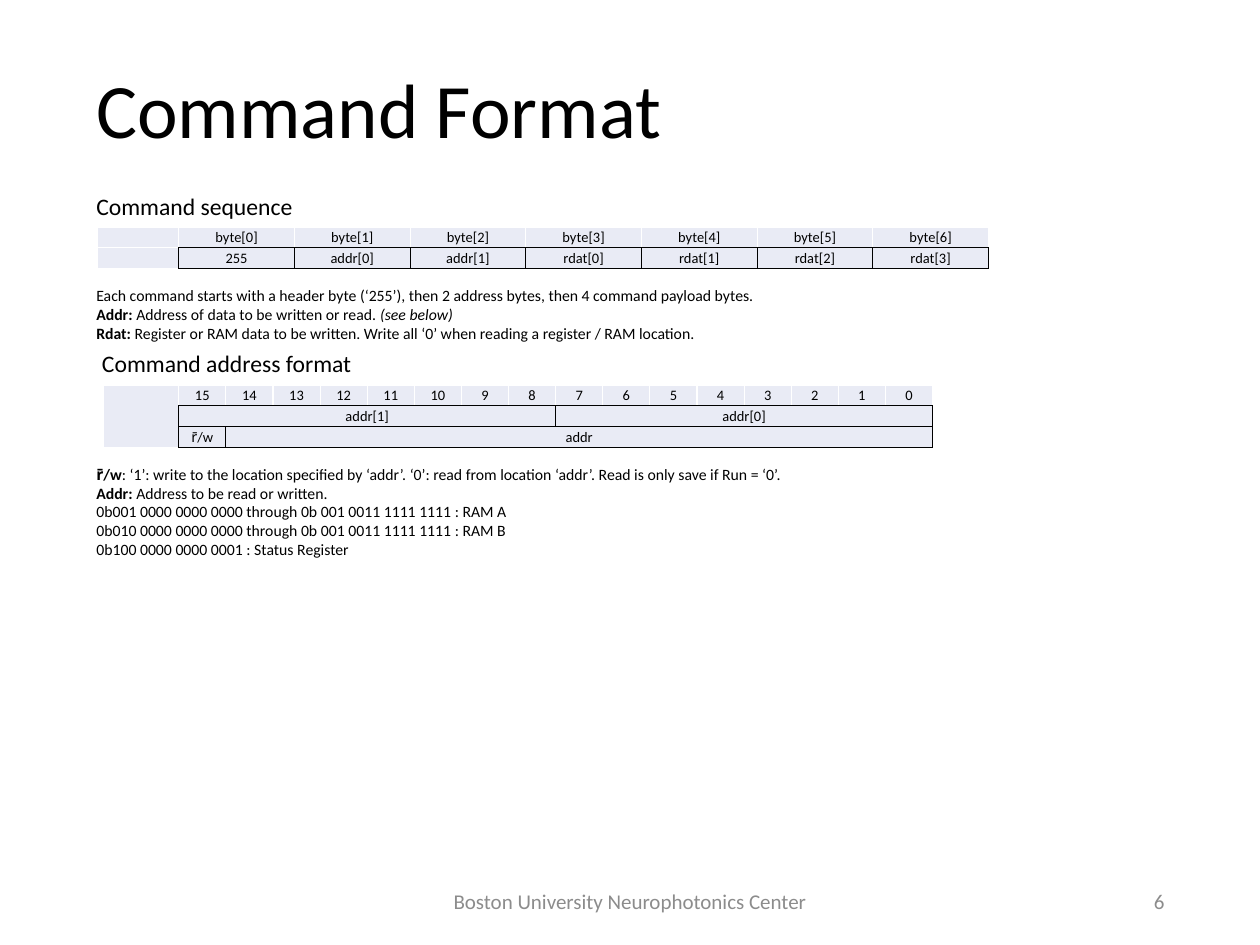
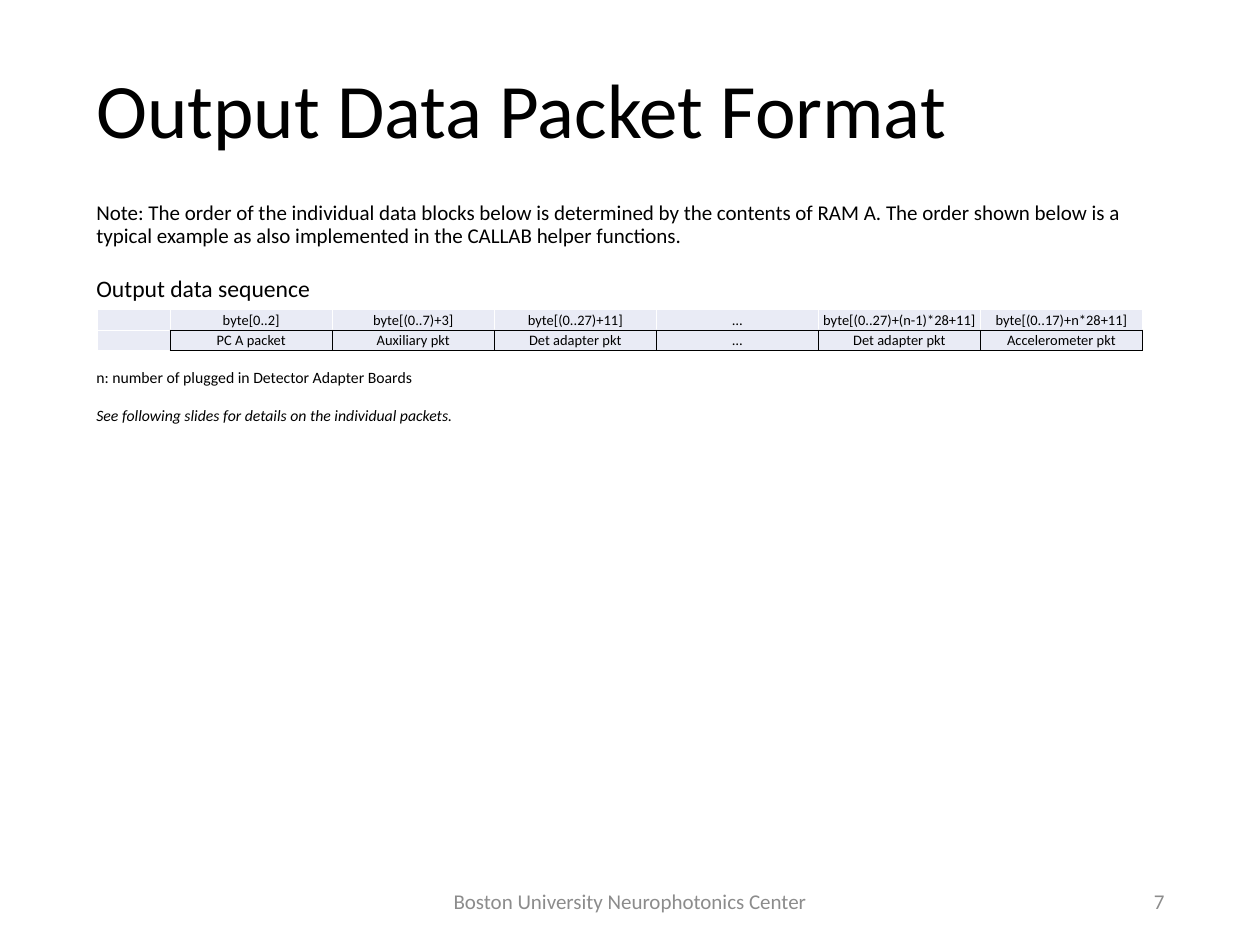
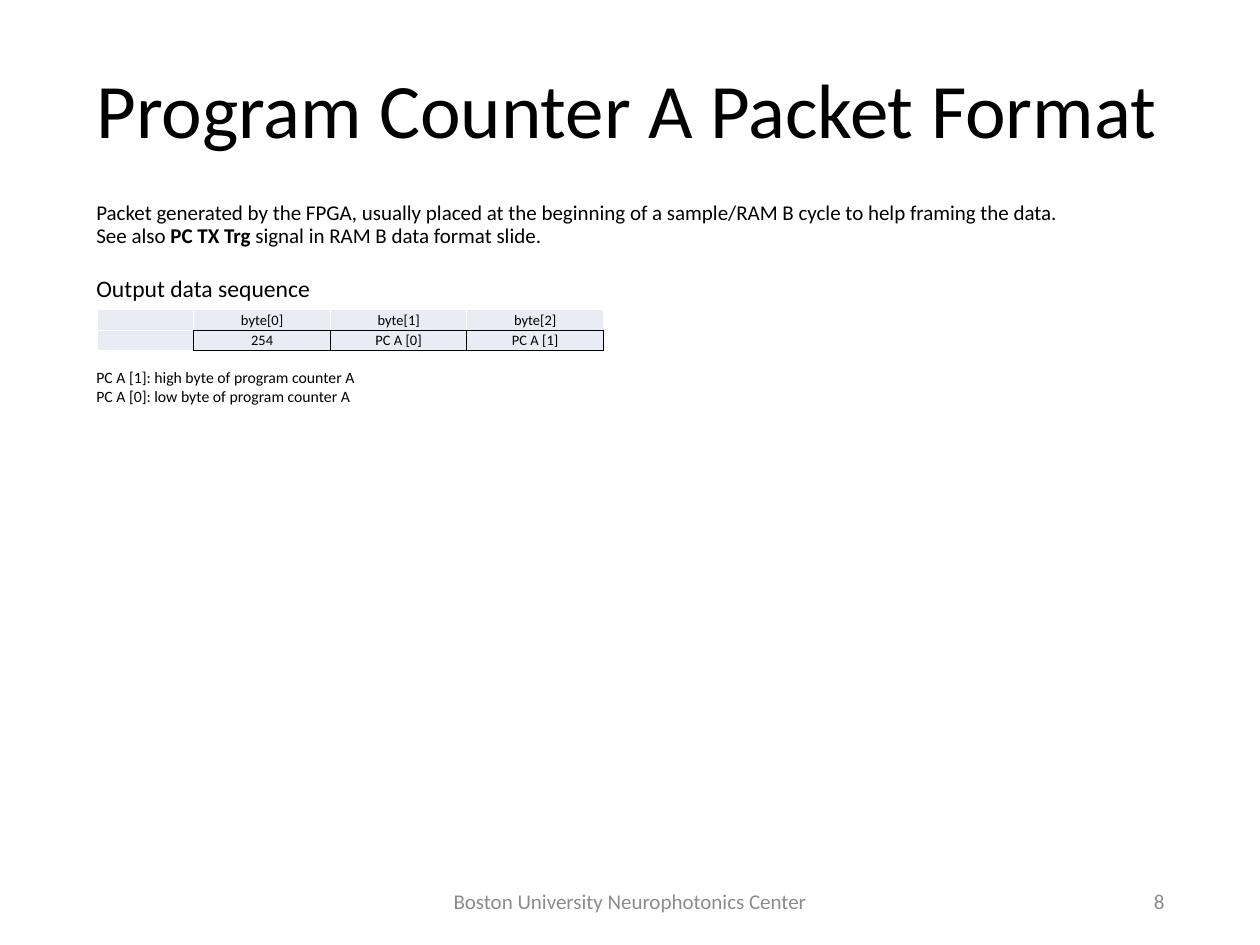
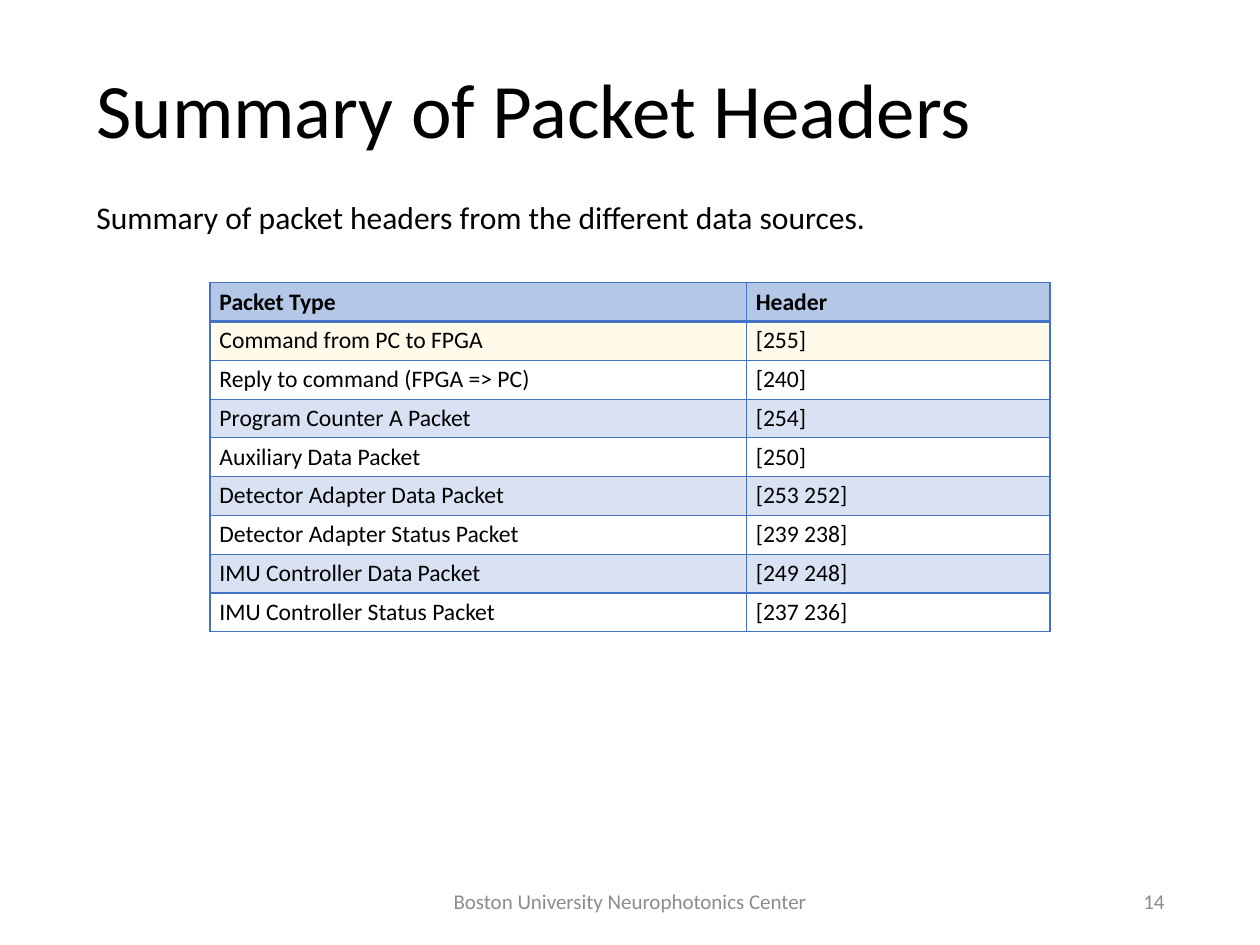
from itertools import takewhile

from lxml import etree
from pptx import Presentation
from pptx.dml.color import RGBColor
from pptx.enum.text import MSO_ANCHOR, PP_ALIGN
from pptx.oxml.ns import qn
from pptx.util import Emu, Pt

LEFT, CENTER, RIGHT = PP_ALIGN.LEFT, PP_ALIGN.CENTER, PP_ALIGN.RIGHT
TOP, MIDDLE = MSO_ANCHOR.TOP, MSO_ANCHOR.MIDDLE

EMU_PER_PX = 9144
FONT = "Calibri"
FOOTER = "Boston University Neurophotonics Center"
COLORS = {
    "black": "000000",
    "white": "FFFFFF",
    "gray": "8C8C8C",
    "field": "E9EBF5",
    "blue": "4472C4",
    "header": "B4C7E7",
    "yellow": "FFE699",
}


def px(length):
    return Emu(round(length * EMU_PER_PX))


def rgb(name):
    return RGBColor.from_string(COLORS[name])


class Deck:
    def __init__(self):
        self.deck = Presentation()
        self.deck.slide_width, self.deck.slide_height = px(1332), px(999)
        self.page = None

    def add_page(self, title, number):
        self.page = self.deck.slides.add_slide(self.deck.slide_layouts[6])
        self.text(92, 53, 1149, 134, [title], 58.6, anchor=MIDDLE, line_spacing=0.9)
        self.text(441, 926, 450, 53, [FOOTER], 16, "gray", CENTER, MIDDLE)
        self.text(941, 926, 300, 53, [str(number)], 16, "gray", RIGHT, MIDDLE)

    def style(self, para, size, color="black", align=LEFT, bold=False, italic=False):
        para.alignment = align
        font = para.font
        font.name, font.size = FONT, Pt(size)
        font.bold, font.italic = bold, italic
        font.color.rgb = rgb(color)

    def text(self, left, top, width, height, paras, size, color="black",
             align=LEFT, anchor=TOP, line_spacing=None, gap=0):
        box = self.page.shapes.add_textbox(px(left), px(top), px(width), px(height))
        frame = box.text_frame
        frame.word_wrap = True
        frame.vertical_anchor = anchor
        for index, content in enumerate(paras):
            para = frame.add_paragraph() if index else frame.paragraphs[0]
            spans = [(content, "")] if isinstance(content, str) else content
            whole = spans[0][1] if len(spans) == 1 else ""
            self.style(para, size, color, align, whole == "b", whole == "i")
            if line_spacing:
                para.line_spacing = line_spacing
            if index and gap:
                para.space_before = Pt(gap)
            for words, emphasis in spans:
                if words == "\n":
                    para.add_line_break()
                    continue
                span = para.add_run()
                span.text = words
                if emphasis == "b":
                    span.font.bold = True
                elif emphasis == "i":
                    span.font.italic = True

    def heading(self, left, top, words):
        self.text(left, top, 436, 40, [words], 18)

    def body(self, spans, size):
        self.text(92, 209, 1149, 67, [spans], size, line_spacing=0.9)

    def grid(self, left, top, widths, row_height, row_count):
        frame = self.page.shapes.add_table(
            row_count, len(widths), px(left), px(top),
            px(sum(widths)), px(row_height * row_count))
        table = frame.table
        table.first_row = table.horz_banding = False
        for column, width in zip(table.columns, widths):
            column.width = px(width)
        for row in table.rows:
            row.height = px(row_height)
        return table

    def paint(self, cell, edges, fill, alpha=None):
        props = cell._tc.get_or_add_tcPr()
        for side, (color, width) in zip("LRTB", edges):
            line = etree.SubElement(props, qn(f"a:ln{side}"), w=str(Pt(width)))
            if color:
                solid = etree.SubElement(line, qn("a:solidFill"))
                etree.SubElement(solid, qn("a:srgbClr"), val=COLORS[color])
            else:
                etree.SubElement(line, qn("a:noFill"))
        if not fill:
            cell.fill.background()
            return
        cell.fill.solid()
        cell.fill.fore_color.rgb = rgb(fill)
        if alpha:
            tint = props.find(f"{qn('a:solidFill')}/{qn('a:srgbClr')}")
            etree.SubElement(tint, qn("a:alpha"), val=str(alpha * 1000))

    def fields(self, left, top, width, label_width, rows, label_lines=True):
        count = len(rows[0])
        widths = [label_width] + [(width - label_width) / count] * count
        table = self.grid(left, top, widths, 22, len(rows))
        label_edge = "white" if label_lines else None
        for r, row in enumerate(rows):
            for c, words in enumerate(["", *row]):
                cell = table.cell(r, c)
                cell.margin_left = cell.margin_right = cell.margin_top = px(1)
                cell.margin_bottom = 0
                cell.vertical_anchor = MIDDLE
                para = cell.text_frame.paragraphs[0]
                self.style(para, 11, align=CENTER)
                if words:
                    para.add_run().text = words
                else:
                    etree.SubElement(para._p, qn("a:endParaRPr"), sz="1100")
                side = "black" if r else "white"
                if c:
                    colors = [side, side, side, "black"]
                else:
                    colors = ["white", side, label_edge if r else "white", label_edge]
                self.paint(cell, [(color, 1) for color in colors], "field")
            for c, words in enumerate(row, 1):
                joined = len(list(takewhile(lambda item: item is None, row[c:])))
                if words and joined:
                    table.cell(r, c).merge(table.cell(r, c + joined))

    def summary(self, left, top, widths, rows):
        table = self.grid(left, top, widths, 41, len(rows))
        for r, row in enumerate(rows):
            if r == 0:
                fill, alpha = "header", None
            elif r == 1:
                fill, alpha = "yellow", 20
            else:
                fill, alpha = ("blue", 20) if r % 2 else (None, None)
            weights = [1, 1, 2 if r == 1 else 1, 2 if r == 0 else 1]
            for c, words in enumerate(row):
                cell = table.cell(r, c)
                para = cell.text_frame.paragraphs[0]
                self.style(para, 18, bold=r == 0)
                para.add_run().text = words
                self.paint(cell, [("blue", weight) for weight in weights], fill, alpha)


def command_page(deck):
    deck.add_page("Command Format", 6)
    deck.heading(92, 198, "Command sequence")
    deck.fields(103, 240, 942, 86, [
        [f"byte[{n}]" for n in range(7)],
        ["255", "addr[0]", "addr[1]", *(f"rdat[{n}]" for n in range(4))],
    ])
    deck.text(92, 297, 860, 71, [
        "Each command starts with a header byte (‘255’), then 2 address bytes, "
        "then 4 command payload bytes.",
        [("Addr: ", "b"), ("Address of data to be written or read. ", ""),
         ("(see below)", "i")],
        [("Rdat: ", "b"),
         ("Register or RAM data to be written. Write all ‘0’ when reading a "
          "register / RAM location.", "")],
    ], 12)
    deck.heading(98, 364, "Command address format")
    deck.fields(109, 407, 877, 80, [
        [str(bit) for bit in range(15, -1, -1)],
        ["addr[1]", *[None] * 7, "addr[0]", *[None] * 7],
        ["r̄/w", "addr", *[None] * 14],
    ], label_lines=False)
    deck.text(92, 486, 860, 131, [
        [("r̄/w", "b"),
         (": ‘1’: write to the location specified by ‘addr’. ‘0’: read from "
          "location ‘addr’. Read is only save if Run = ‘0’.", "")],
        [("Addr: ", "b"), ("Address to be read or written.", "")],
        "0b001 0000 0000 0000 through 0b 001 0011 1111 1111 : RAM A",
        "0b010 0000 0000 0000 through 0b 001 0011 1111 1111 : RAM B",
        "0b100 0000 0000 0001 : Status Register",
    ], 12)


def output_page(deck):
    deck.add_page("Output Data Packet Format", 7)
    deck.body(
        "Note: The order of the individual data blocks below is determined by the "
        "contents of RAM A. The order shown below is a typical example as also "
        "implemented in the CALLAB helper functions.", 16)
    deck.heading(92, 285, "Output data sequence")
    deck.text(92, 384, 860, 71, [
        "n: number of plugged in Detector Adapter Boards",
        [("See following slides for details on the individual packets.", "i")],
    ], 12, gap=14.6)
    deck.fields(103, 327, 1105, 77, [
        ["byte[0..2]", "byte[(0..7)+3]", "byte[(0..27)+11]", "…",
         "byte[(0..27)+(n-1)*28+11]", "byte[(0..17)+n*28+11]"],
        ["PC A packet", "Auxiliary pkt", "Det adapter pkt", "…",
         "Det adapter pkt", "Accelerometer pkt"],
    ])


def counter_page(deck):
    deck.add_page("Program Counter A Packet Format", 8)
    deck.body([
        ("Packet generated by the FPGA, usually placed at the beginning of a "
         "sample/RAM B cycle to help framing the data. ", ""),
        ("\n", ""),
        ("See also ", ""),
        ("PC TX Trg", "b"),
        (" signal in RAM B data format slide.", ""),
    ], 16)
    deck.heading(92, 285, "Output data sequence")
    deck.text(92, 384, 860, 50, [
        "PC A [1]: high byte of program counter A",
        "PC A [0]: low byte of program counter A",
    ], 12)
    deck.fields(103, 327, 535, 102, [
        [f"byte[{n}]" for n in range(3)],
        ["254", "PC A [0]", "PC A [1]"],
    ])


def summary_page(deck):
    deck.add_page("Summary of Packet Headers", 14)
    deck.body("Summary of packet headers from the different data sources.", 24)
    deck.summary(222, 299, [567, 321], [
        ("Packet Type", "Header"),
        ("Command from PC to FPGA", "[255]"),
        ("Reply to command (FPGA => PC)", "[240]"),
        ("Program Counter A Packet", "[254]"),
        ("Auxiliary Data Packet", "[250]"),
        ("Detector Adapter Data Packet", "[253 252]"),
        ("Detector Adapter Status Packet", "[239 238]"),
        ("IMU Controller Data Packet", "[249 248]"),
        ("IMU Controller Status Packet", "[237 236]"),
    ])


def main():
    deck = Deck()
    for build in (command_page, output_page, counter_page, summary_page):
        build(deck)
    deck.deck.save("out.pptx")


if __name__ == "__main__":
    main()
